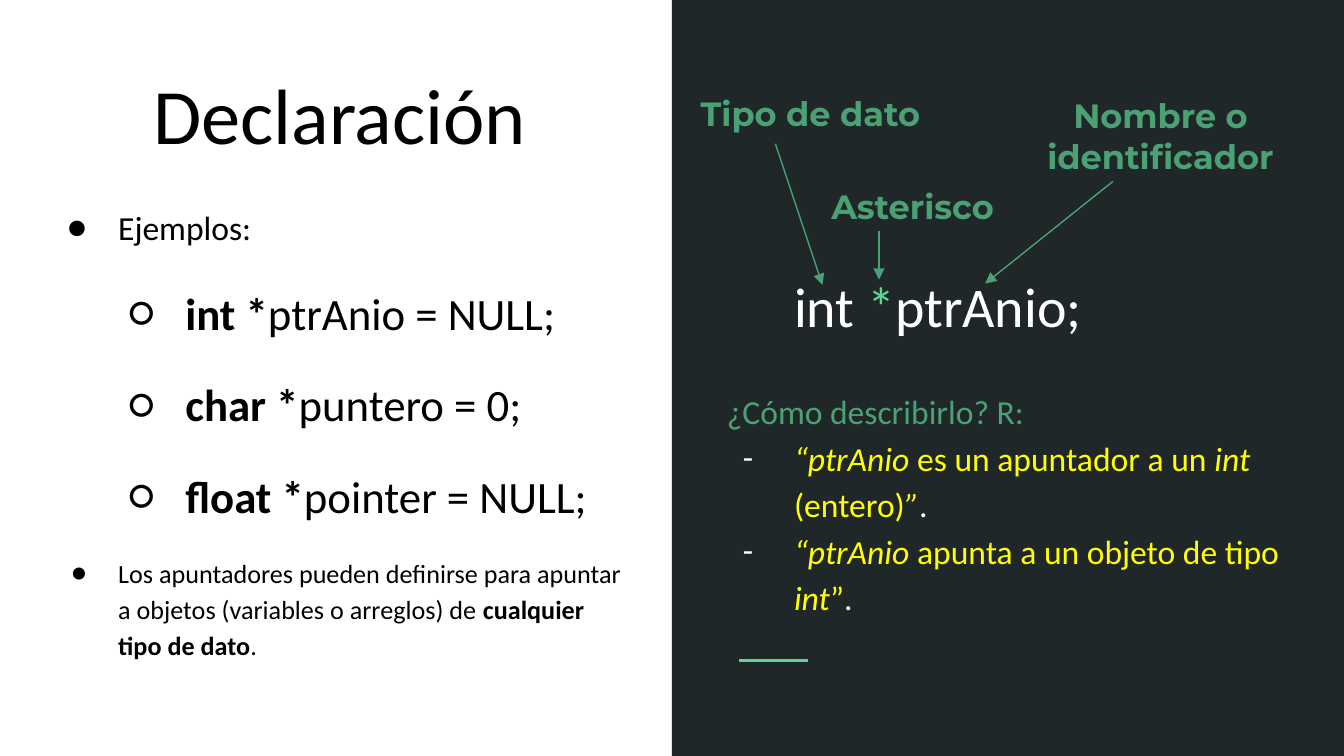
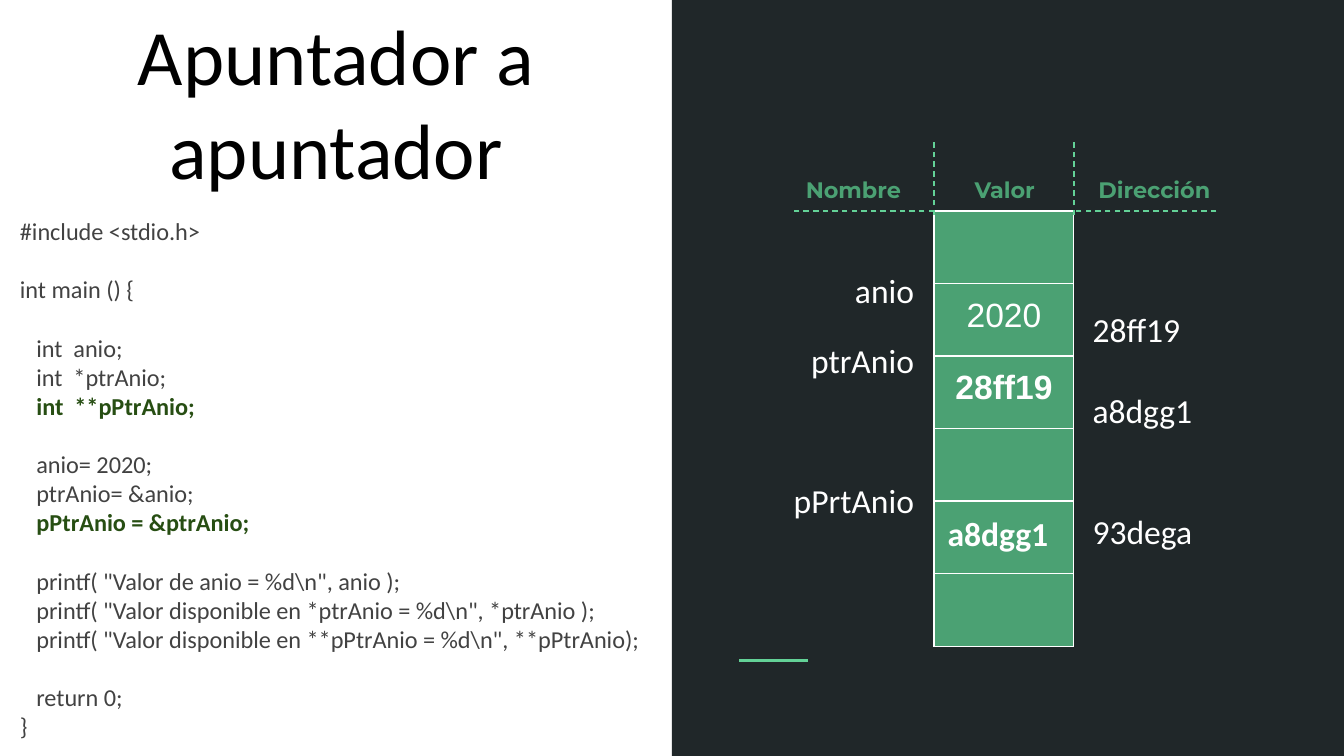
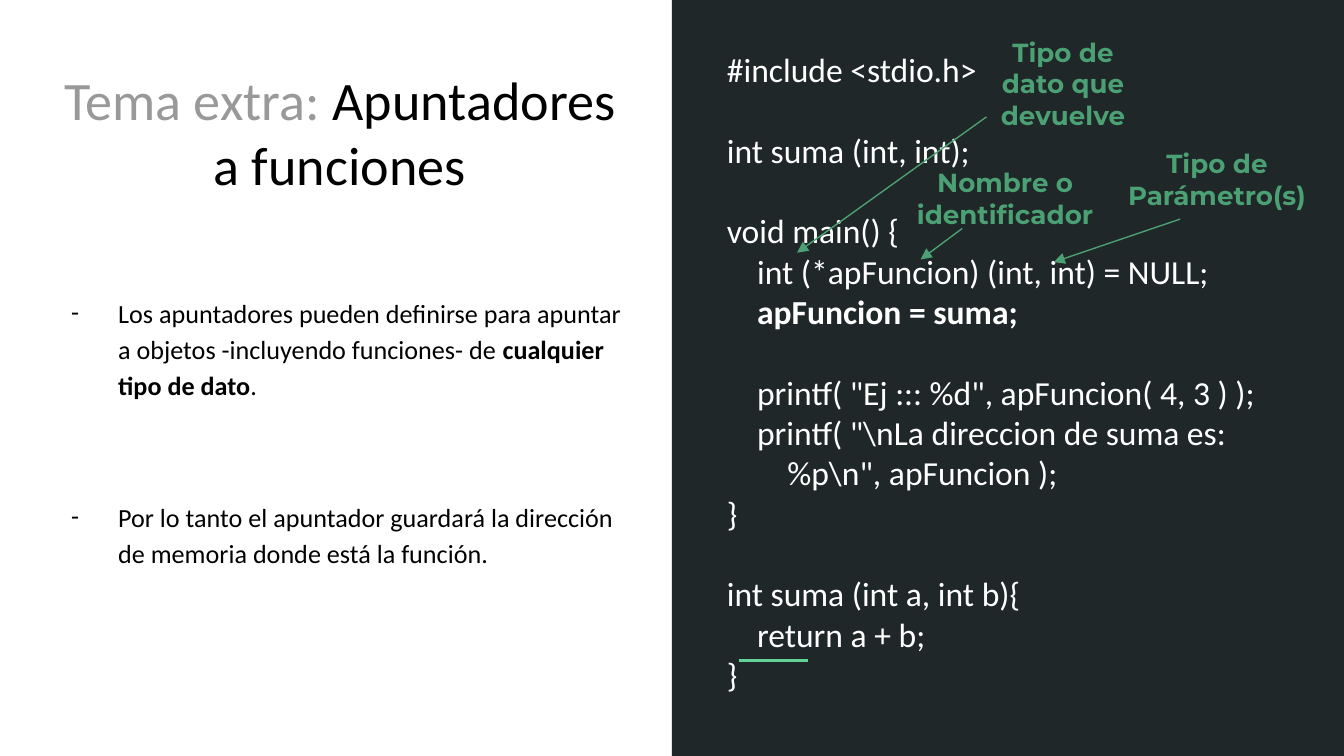
from dataclasses import dataclass

from lxml import etree
from pptx import Presentation
from pptx.dml.color import RGBColor
from pptx.enum import dml, shapes, text
from pptx.oxml import ns
from pptx.util import Pt


@dataclass(frozen=True)
class Theme:
    white: str = "FFFFFF"
    black: str = "000000"
    dark: str = "202729"
    mint: str = "63D297"
    green: str = "4BA173"
    yellow: str = "FFFF00"
    gray: str = "999999"
    ink: str = "424242"
    moss: str = "274E13"
    body: str = "Calibri"
    head: str = "Montserrat"
    plain: str = "Arial"
    title: int = 42
    topic: int = 29
    sample: int = 30
    large: int = 24
    mid: int = 18
    small: int = 14
    code: int = 13
    tag: int = 12
    pad: float = 7.2
    pitch: float = 1.2   # line height per point of type
    lead: float = 1.15
    gap: int = 16


T = Theme()
WIDE, HIGH = 720, 405
LEFT = (20.2, 83.5, 325.4, 294.5)
MID = text.MSO_ANCHOR.MIDDLE
TOP = text.MSO_ANCHOR.TOP
CENTER = text.PP_ALIGN.CENTER
RIGHT = text.PP_ALIGN.RIGHT


# Basic parts
def rgb(code):
    return RGBColor.from_string(code)


def node(parent, tag, **attrs):
    return etree.SubElement(parent, ns.qn(tag), **attrs)


def style(run, size, color, font=T.body, bold=False, slant=False):
    face = run.font
    face.name, face.size = font, Pt(size)
    face.bold, face.italic = bold, slant
    face.color.rgb = rgb(color)


def frame(slide, box, anchor=TOP, top=T.pad):
    area = slide.shapes.add_textbox(*map(Pt, box)).text_frame
    area.word_wrap = True
    area.vertical_anchor = anchor
    area.margin_left = area.margin_right = area.margin_bottom = Pt(T.pad)
    area.margin_top = Pt(top)
    return area


def para(area, bits, size, color, gap=0, lead=None, align=None, after=0,
         inset=0, hang=0, mark=None, tint=None):
    """Each bit is a text or a (text, changes) pair."""
    first = area.paragraphs[0]
    p = area.add_paragraph() if first.runs else first
    p.alignment, p.line_spacing = align, lead
    p.space_before, p.space_after = Pt(gap), Pt(after)
    props = p._p.get_or_add_pPr()
    props.set("marL", str(Pt(inset)))
    props.set("indent", str(Pt(hang)))
    if mark:
        node(node(props, "a:buClr"), "a:srgbClr", val=tint or color)
        node(props, "a:buFont", typeface=T.body)
        node(props, "a:buChar", char=mark)
    for bit in [bits] if isinstance(bits, str) else bits:
        words, change = (bit, {}) if isinstance(bit, str) else bit
        run = p.add_run()
        run.text = words
        style(run, **{"size": size, "color": color, **change})


def line(slide, ends, color, width=0.75, dash=False, arrow=False):
    link = slide.shapes.add_connector(shapes.MSO_CONNECTOR.STRAIGHT,
                                      *map(Pt, ends))
    link.line.color.rgb = rgb(color)
    link.line.width = Pt(width)
    if dash:
        link.line.dash_style = dml.MSO_LINE.DASH
    if arrow:
        node(link.line._get_or_add_ln(), "a:tailEnd", type="triangle")
    node(link._element.spPr, "a:effectLst")


# Shared look
def base(deck):
    slide = deck.slides.add_slide(deck.slide_layouts[6])
    half = WIDE / 2
    band = slide.shapes.add_shape(shapes.MSO_SHAPE.RECTANGLE,
                                  *map(Pt, (half, 0, half, HIGH)))
    band.shadow.inherit = False
    band.fill.solid()
    band.fill.fore_color.rgb = rgb(T.dark)
    band.line.fill.background()
    line(slide, (396, 354, 432.7, 354), T.mint, 1.5)
    return slide


def title(slide, box, bits, size=T.title):
    para(frame(slide, box, MID), bits, size, T.black, align=CENTER)


def label(slide, box, words, size):
    area = frame(slide, box)
    for row in words.split("\n"):
        para(area, [(row, {"font": T.head, "bold": True})], size, T.green,
             align=CENTER)


def arrow(slide, *ends):
    line(slide, ends, T.green, arrow=True)


def point(area, bits, mark, size=T.small, inset=36, hang=-25.2, gap=T.gap,
          after=0):
    para(area, bits, size, T.black, gap, T.lead, inset=inset, hang=hang,
         mark=mark, after=after)


def code(slide, box, blocks, size, color, step, strong, anchor=TOP):
    """Blocks hold (depth, text) or (depth, text, strong) rows."""
    area = frame(slide, box, anchor)
    for i, block in enumerate(blocks):
        for j, (depth, words, *bold) in enumerate(block):
            gap = size * T.pitch if i and not j else 0
            bits = [(words, {"bold": True, "color": strong})] if bold else words
            para(area, bits, size, color, gap, inset=depth * step)


def column(slide, box, rows, top, align=None):
    area = frame(slide, box, top=top)
    for gap, words in rows:
        para(area, words, T.mid, T.white, gap, align=align)


def memory(slide, spot, width, height, cells):
    grid = slide.shapes.add_table(len(cells), 1, *map(
        Pt, (*spot, width, height * len(cells)))).table
    grid.first_row = grid.horz_banding = False
    grid.columns[0].width = Pt(width)
    for row, cell, (words, look, align) in zip(
            grid.rows, grid.iter_cells(), cells):
        row.height = Pt(height)
        for side in "LRTB":
            edge = node(cell._tc.get_or_add_tcPr(), f"a:ln{side}",
                        w=str(Pt(0.75)))
            node(node(edge, "a:solidFill"), "a:srgbClr", val=T.white)
        cell.fill.solid()
        cell.fill.fore_color.rgb = rgb(T.green)
        cell.margin_left = cell.margin_right = Pt(T.pad)
        cell.margin_top = cell.margin_bottom = Pt(T.pad)
        if words:
            para(cell.text_frame, [(words, look)], T.mid, T.white, align=align)


# Slides
def declare(deck):
    slide = base(deck)
    title(slide, (23, 31, 318.2, 59), "Declaración")

    area = frame(slide, (382.3, 121.7, 317.5, 227.5), MID)
    para(area, ["int ", ("*", {"color": T.mint}), "ptrAnio;"], T.sample,
         T.white, lead=T.lead, hang=36)
    para(area, "¿Cómo describirlo? R:", T.mid, T.green,
         T.mid * T.pitch * T.lead, T.lead)
    slant, white = {"slant": True}, {"color": T.white}
    for bits in (
        [("“ptrAnio", slant), " es un apuntador a un ", ("int ", slant),
         "(entero)", ("”", slant), (".", white)],
        [("“ptrAnio", slant), " apunta a un objeto de tipo ",
         ("int", slant), "”", (".", white)],
    ):
        para(area, bits, T.mid, T.yellow, lead=T.lead, inset=36, hang=-27.4,
             mark="-", tint=T.white)

    bold = {"bold": True}
    area = frame(slide, LEFT, MID)
    point(area, "Ejemplos:", "●", T.mid, hang=-27.4)
    for kind, rest in (("int", "ptrAnio = NULL;"), ("char", "puntero = 0;"),
                       ("float", "pointer = NULL;")):
        point(area, [(kind + " *", bold), rest], "○", T.large, 72, -30.2)
    point(area, ["Los apuntadores pueden definirse para apuntar a objetos "
                 "(variables o arreglos) de ",
                 ("cualquier tipo de dato", bold), "."], "●", after=T.gap)

    arrow(slide, 470.9, 123.8, 470.9, 149.8)
    label(slide, (435.6, 92.2, 106.6, 31), "Asterisco", T.mid)
    label(slide, (551.5, 43.9, 140.4, 59), "Nombre o\nidentificador", T.mid)
    arrow(slide, 596.2, 97.2, 527.8, 151.9)
    label(slide, (365.8, 42.5, 136.8, 31), "Tipo de dato", T.mid)
    arrow(slide, 415.4, 77, 440.6, 152.6)


def double(deck):
    slide = base(deck)
    title(slide, (20.9, 6.5, 318.2, 95), "Apuntador a apuntador")

    # Memory table with names and addresses
    x, y, width = 500.4, 113, 74.9
    end = x + width
    row = T.mid * T.pitch
    column(slide, (413.3, y, 83.5, 247),
           [(0, "anio"), (T.gap, "ptrAnio"), (2 * T.gap + row, "pPrtAnio")],
           31.6, RIGHT)
    void = ("", {}, None)
    memory(slide, (x, y), width, 38.88, [
        void,
        ("2020", {"font": T.plain}, CENTER),
        ("28ff19", {"font": T.plain, "bold": True}, CENTER),
        void,
        ("a8dgg1", {"bold": True}, None),
        void,
    ])
    column(slide, (578.2, 115.2, 86.4, 233.3),
           [(0, "28ff19"), (row, "a8dgg1"), (2 * row, "93dega")],
           T.pad + 2 * row)
    for ends in ((x, 115.2, x, 75.6), (end, 115.2, end, 75.6),
                 (x, y, 423.4, y), (651.6, y, end, y)):
        line(slide, ends, T.mint, dash=True)
    for left, wide, words in ((414, 86.4, "Nombre"), (506.2, 64.1, "Valor"),
                              (end, 86.4, "Dirección")):
        label(slide, (left, 87.1, wide, 26.6), words, T.tag)

    code(slide, (3.6, 108.7, 352.1, 292.3), [
        [(0, "#include <stdio.h>")],
        [(0, "int main () {")],
        [(1, "int  anio;"), (1, "int  *ptrAnio;"),
         (1, "int  **pPtrAnio;", True)],
        [(1, "anio= 2020;"), (1, "ptrAnio= &anio;"),
         (1, "pPtrAnio = &ptrAnio;", True)],
        [(1, 'printf( "Valor de anio = %d\\n", anio );'),
         (1, 'printf( "Valor disponible en *ptrAnio = %d\\n", *ptrAnio );'),
         (1, 'printf( "Valor disponible en **pPtrAnio = %d\\n", **pPtrAnio);')],
        [(1, "return 0;"), (0, "}")],
    ], T.code, T.ink, 8.8, T.moss)


def extra(deck):
    slide = base(deck)
    code(slide, (382.3, 25.2, 317.5, 347.8), [
        [(0, "#include <stdio.h>")],
        [(0, "int suma (int, int);")],
        [(0, "void main() {"), (1, "int (*apFuncion) (int, int) = NULL;"),
         (1, "apFuncion = suma;", True)],
        [(1, 'printf( "Ej ::: %d", apFuncion( 4, 3 ) );'),
         (1, 'printf( "\\nLa direccion de suma es:'),
         (2, '%p\\n", apFuncion );'), (0, "}")],
        [(0, "int suma (int a, int b){"), (1, "return a + b;"), (0, "}")],
    ], T.mid, T.white, 16.2, T.white, MID)
    title(slide, (23, 7.2, 318.2, 126.7),
          [("Tema extra:", {"color": T.gray}), " Apuntadores a funciones"],
          T.topic)

    area = frame(slide, LEFT, MID)
    point(area, ["Los apuntadores pueden definirse para apuntar a objetos "
                 "-incluyendo funciones- de ",
                 ("cualquier tipo de dato", {"bold": True}), "."], "-")
    point(area, "Por lo tanto el apuntador guardará la dirección de memoria "
                "donde está la función.", "-",
          gap=2 * T.gap + T.small * T.pitch * T.lead)

    arrow(slide, 528.5, 62.6, 427, 135.4)
    label(slide, (476.6, 82.1, 123.8, 47.5), "Nombre o\nidentificador", T.small)
    arrow(slide, 515.5, 122.4, 493.2, 139)
    label(slide, (519.1, 12.2, 100.8, 71.3), "Tipo de dato que devuelve",
          T.small)
    arrow(slide, 632.2, 117.4, 564.5, 140.4)
    label(slide, (594.7, 72, 114.5, 47.5), "Tipo de Parámetro(s)", T.small)


def main():
    deck = Presentation()
    deck.slide_width, deck.slide_height = Pt(WIDE), Pt(HIGH)
    for build in (declare, double, extra):
        build(deck)
    deck.save("out.pptx")


if __name__ == "__main__":
    main()
